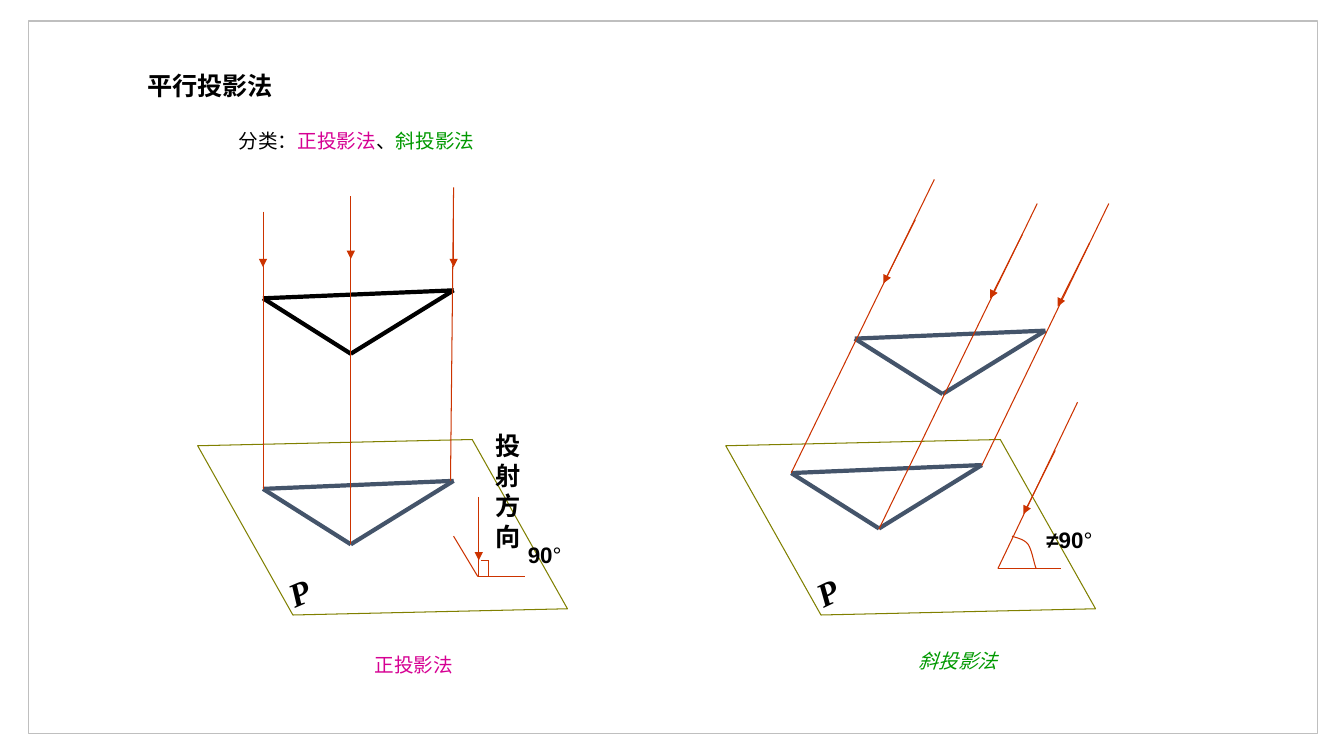
from lxml import etree
from pptx import Presentation
from pptx.dml.color import RGBColor
from pptx.enum.shapes import MSO_CONNECTOR, MSO_SHAPE
from pptx.enum.text import MSO_ANCHOR, MSO_AUTO_SIZE, PP_ALIGN
from pptx.oxml.ns import qn
from pptx.util import Pt

STRAIGHT = MSO_CONNECTOR.STRAIGHT
LEFT, CENTER = PP_ALIGN.LEFT, PP_ALIGN.CENTER
CJK, LATIN, SERIF = "Noto Sans CJK SC", "Arial", "Times New Roman"
BLACK, SLATE, RED, OLIVE = "000000", "44546A", "CC3300", "808000"
MAGENTA, GREEN, GRAY = "D60093", "009900", "BFBFBF"

# Runs are (text, colour, bold); boxes are left, top, width, height
TITLE = ((97.9, 46.8, 180.7, 28.8), [("平行投影法", BLACK, True)])
ANGLE_LABEL = {"name": LATIN, "size": Pt(16)}
P_LABEL = {"name": SERIF, "size": Pt(24), "italic": True}
CAPTION = {"name": CJK, "size": Pt(14)}
LABELS = [
    ((221.8, 463, 147.6, 24.5), [("正投影法", MAGENTA, False)], CAPTION, CENTER, 0),
    ((610.6, 460.1, 147.6, 24.5), [("斜投影法", GREEN, False)],
     {**CAPTION, "italic": True}, CENTER, 0),
    ((346.3, 303.8, 33.8, 93.6), [("投射方向", BLACK, True)],
     {"name": LATIN, "size": Pt(18)}, CENTER, 0),
    ((357.8, 383, 62.6, 26.6), [("90", BLACK, True), ("°", BLACK, False)],
     ANGLE_LABEL, CENTER, 0),
    ((724.3, 372.2, 79.2, 26.6), [("≠90", BLACK, True), ("°", BLACK, False)],
     ANGLE_LABEL, CENTER, 0),
    ((199.4, 406.1, 23, 36), [("P", BLACK, True)], P_LABEL, CENTER, 336.8),
    ((576.7, 406.1, 23, 36), [("P", BLACK, True)], P_LABEL, CENTER, 334.2),
    ((163.4, 88.6, 576.7, 24.5),
     [("分类：", BLACK, False), ("正投影法", MAGENTA, False),
      ("、", BLACK, False), ("斜投影法", GREEN, False)], CAPTION, LEFT, 0),
]

FRAME = (20.2, 15.1, 920.9, 509)
PLANE_LEFTS = (142.6, 519.8)
PLANE_TOP, PLANE_WIDTH, PLANE_HEIGHT = 315.4, 261.4, 122.4
TRIANGLE = ((0, 0), (62.7, 39.6), (136.1, -5.7))
TRIANGLE_ORIGINS = [(187.9, 213.1, BLACK), (187.9, 349.2, SLATE),
                    (610.6, 241.9, SLATE), (565.2, 337.9, SLATE)]

RAYS = [
    (321.8, 343.4, 324, 133.9), (250.6, 388.8, 250.6, 139.7),
    (187.9, 349.2, 187.9, 151.2),
    (701.3, 332.6, 792, 145.4), (627.8, 378, 740.9, 145.4),
    (565.2, 337.7, 667.4, 128.2),
]
RIGHT_ANGLE = [
    (342, 355, 342, 411.8), (341.3, 411.8, 375.1, 411.8),
    (341.3, 411.8, 324, 383), (343.4, 400.3, 349.2, 400.3),
    (349.2, 400.3, 349.2, 411.8),
]
OBLIQUE_ANGLE = [(712.8, 406.1, 769.7, 287.3), (712.8, 406.1, 758.2, 406.1)]
# Arrow step (across, down) and the points where such arrows start
ARROWS = [
    ((0, 39.6), [(324, 151.2), (187.9, 151.2), (250.6, 145.4)]),
    ((0, 33.8), [(342, 366.5)]),
    ((-22.8, 45.4), [(653.8, 157), (730.1, 167.8), (778.3, 173.5), (753.8, 321.8)]),
]
ARC_CURVES = [
    ((722.9, 383), (727.2, 384.5), (731.5, 385.2), (734.4, 388.8)),
    ((734.4, 388.8), (737.3, 393.1), (738.7, 403.2), (740.2, 406.1)),
]
CURVE_STEPS = 10


def rgb(color):
    return RGBColor.from_string(color)


def points(values):
    return [Pt(value) for value in values]


def outline(shape, color, width):
    shape.fill.background()
    shape.line.color.rgb = rgb(color)
    shape.line.width = Pt(width)
    shape.shadow.inherit = False


def draw_line(shapes, ends, color=RED, width=0.75, arrow=False):
    connector = shapes.add_connector(STRAIGHT, *points(ends))
    connector.line.color.rgb = rgb(color)
    connector.line.width = Pt(width)
    properties = connector._element.spPr
    if arrow:
        etree.SubElement(properties.find(qn("a:ln")), qn("a:tailEnd"), type="triangle")
    etree.SubElement(properties, qn("a:effectLst"))


def write_text(shape, runs, font, alignment):
    frame = shape.text_frame
    frame.word_wrap = True
    frame.auto_size = MSO_AUTO_SIZE.NONE
    frame.vertical_anchor = MSO_ANCHOR.TOP
    paragraph = frame.paragraphs[0]
    paragraph.alignment = alignment
    for text, color, bold in runs:
        run = paragraph.add_run()
        run.text = text
        for name, value in {**font, "bold": bold}.items():
            setattr(run.font, name, value)
        run.font.color.rgb = rgb(color)
        etree.SubElement(run._r.rPr, qn("a:ea"), typeface=CJK)


def draw_plane(shapes, left):
    plane = shapes.add_shape(MSO_SHAPE.PARALLELOGRAM, *points(
        (left, PLANE_TOP, PLANE_WIDTH, PLANE_HEIGHT)))
    plane.adjustments[0] = 0.533
    plane.rotation = 178.7
    plane._element.spPr.find(qn("a:xfrm")).set("flipH", "1")
    outline(plane, OLIVE, 0.75)


def draw_triangle(shapes, left, top, color):
    corners = [(left + x, top + y) for x, y in TRIANGLE]
    for start, end in zip(corners, corners[1:] + corners[:1]):
        draw_line(shapes, start + end, color, 3)


def curve_point(curve, t):
    """Return the point at parameter t of a cubic Bezier curve."""
    weights = ((1 - t) ** 3, 3 * t * (1 - t) ** 2, 3 * t ** 2 * (1 - t), t ** 3)
    return tuple(Pt(sum(weight * point[axis] for weight, point in zip(weights, curve)))
                 for axis in (0, 1))


def draw_arc(shapes):
    vertices = [curve_point(curve, step / CURVE_STEPS)
                for curve in ARC_CURVES for step in range(1, CURVE_STEPS + 1)]
    builder = shapes.build_freeform(*points(ARC_CURVES[0][0]))
    builder.add_line_segments(vertices, close=False)
    outline(builder.convert_to_shape(), RED, 0.75)


def main():
    presentation = Presentation()
    presentation.slide_width, presentation.slide_height = Pt(960), Pt(540)
    slide = presentation.slides.add_slide(presentation.slide_layouts[5])
    shapes = slide.shapes

    title_box, title_runs = TITLE
    title = shapes.title
    title.left, title.top, title.width, title.height = points(title_box)
    write_text(title, title_runs, {"name": CJK, "size": Pt(18)}, LEFT)

    outline(shapes.add_shape(MSO_SHAPE.RECTANGLE, *points(FRAME)), GRAY, 1)
    for left in PLANE_LEFTS:
        draw_plane(shapes, left)
    for origin in TRIANGLE_ORIGINS:
        draw_triangle(shapes, *origin)
    for ends in RAYS + RIGHT_ANGLE + OBLIQUE_ANGLE:
        draw_line(shapes, ends)
    for (across, down), starts in ARROWS:
        for x, y in starts:
            draw_line(shapes, (x, y, x + across, y + down), arrow=True)
    draw_arc(shapes)
    for box, runs, font, alignment, rotation in LABELS:
        label = shapes.add_textbox(*points(box))
        label.rotation = rotation
        write_text(label, runs, font, alignment)

    presentation.save("out.pptx")


if __name__ == "__main__":
    main()
